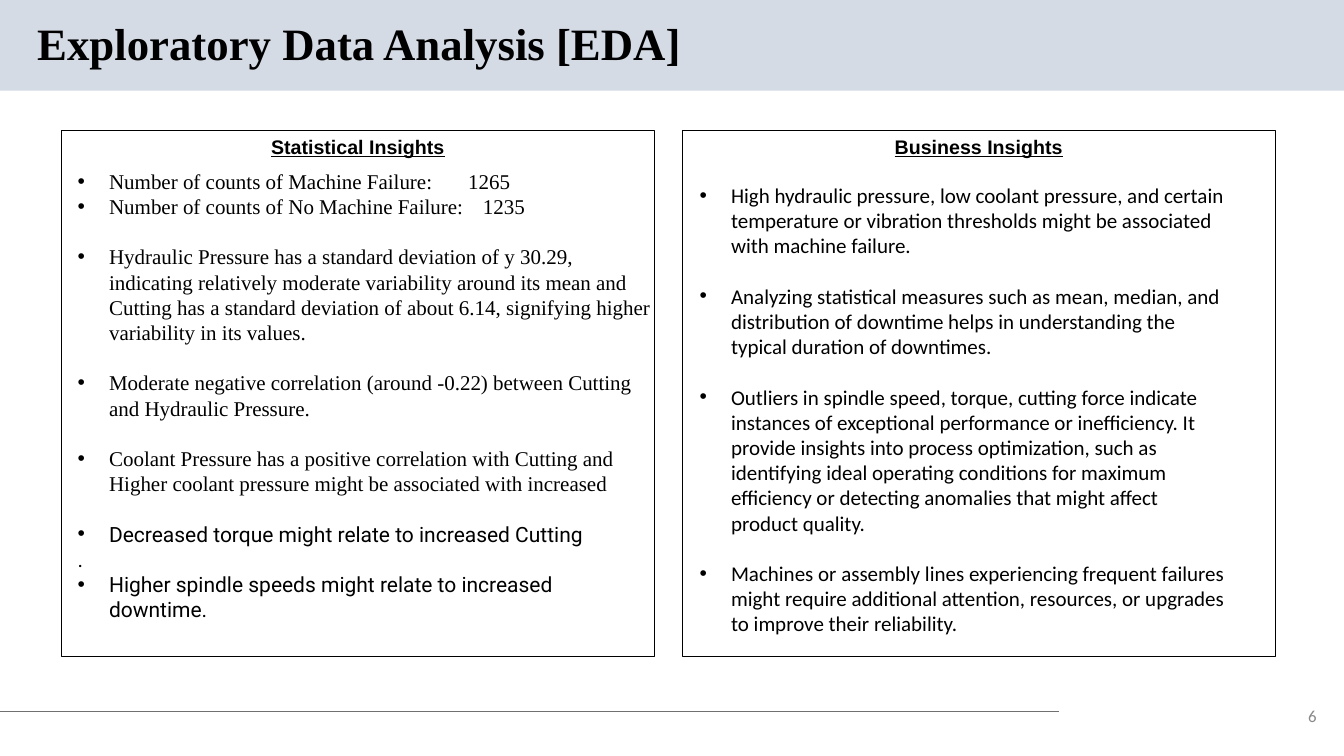
from pptx import Presentation
from pptx.dml.color import RGBColor
from pptx.enum.shapes import MSO_CONNECTOR as Conn, MSO_SHAPE as Shape
from pptx.enum.text import MSO_ANCHOR as Anchor, MSO_AUTO_SIZE as Auto, PP_ALIGN as Align
from pptx.oxml.ns import qn
from pptx.util import Pt
from lxml.etree import SubElement

TIMES, SANS, ROBOTO = "Times New Roman", "Calibri", "Roboto"
BLACK = "000000"
LINE = 18  # list line height, also the gap between items
INDENT = 22.5
TOP, WIDE, HIGH = 92.9, 423.4, 375.8  # the two panels

# Each item: text, font, space before, tab stop (None for no tab)
STATS = [
    ("Number of counts of Machine Failure:\t1265", TIMES, 0, 279),
    ("Number of counts of No Machine Failure:\t1235", TIMES, 0, 289.5),
    ("Hydraulic Pressure has a standard deviation of y 30.29, indicating "
     "relatively moderate variability around its mean and Cutting has a "
     "standard deviation of about 6.14, signifying higher variability in "
     "its values.", TIMES, LINE, None),
    ("Moderate negative correlation (around -0.22) between Cutting and "
     "Hydraulic Pressure.", TIMES, LINE, None),
    ("Coolant Pressure has a positive correlation with Cutting and Higher "
     "coolant pressure might be associated with increased", TIMES, LINE, None),
    ("Decreased torque might relate to increased Cutting", ROBOTO, LINE, None),
    (".", ROBOTO, 0, None),
    ("Higher spindle speeds might relate to increased downtime.", ROBOTO, 0, None),
]
GOALS = [
    "High hydraulic pressure, low coolant pressure, and certain temperature "
    "or vibration thresholds might be associated with machine failure.",
    "Analyzing statistical measures such as mean, median, and distribution "
    "of downtime helps in understanding the typical duration of downtimes.",
    "Outliers in spindle speed, torque, cutting force indicate instances of "
    "exceptional performance or inefficiency. It provide insights into "
    "process optimization, such as identifying ideal operating conditions "
    "for maximum efficiency or detecting anomalies that might affect product "
    "quality.",
    "Machines or assembly lines experiencing frequent failures might require "
    "additional attention, resources, or upgrades to improve their "
    "reliability.",
]


def color(code):
    return RGBColor.from_string(code)


def place(shape, left, top, width, height):
    shape.left, shape.top = Pt(left), Pt(top)
    shape.width, shape.height = Pt(width), Pt(height)


def style(para, font, size, code=BLACK, bold=False, under=False):
    for run in para.runs:
        face = run.font
        face.name, face.size = font, Pt(size)
        face.bold, face.underline = bold, under
        face.color.rgb = color(code)


def frame(shape, anchor, pad=3.6):
    text = shape.text_frame
    text.word_wrap, text.auto_size = True, Auto.NONE
    text.vertical_anchor = anchor
    text.margin_left = text.margin_right = Pt(7.2)
    text.margin_top = text.margin_bottom = Pt(pad)
    return text


def box(slide, at, fill=None, line=None):
    shape = slide.shapes.add_shape(Shape.RECTANGLE, *map(Pt, at))
    shape.shadow.inherit = False
    if fill:
        shape.fill.solid()
        shape.fill.fore_color.rgb = color(fill)
    else:
        shape.fill.background()
    if line:
        shape.line.color.rgb = color(line)
        shape.line.width = Pt(0.75)
    else:
        shape.line.fill.background()
    return shape


def rule(slide, left, right, y, code):
    line = slide.shapes.add_connector(Conn.STRAIGHT, Pt(left), Pt(y), Pt(right), Pt(y))
    line.line.color.rgb = color(code)
    line.line.width = Pt(0.75)
    SubElement(line._element.spPr, qn("a:effectLst"))
    return line


def label(slide, words, at, align, anchor, *look):
    shape = slide.shapes.add_textbox(*map(Pt, at))
    para = frame(shape, anchor).paragraphs[0]
    para.text, para.alignment = words, align
    style(para, *look)


def bullet(para, tab):
    props = para._p.get_or_add_pPr()
    props.set("marL", str(Pt(INDENT)))
    props.set("indent", str(Pt(-INDENT)))
    tint = SubElement(props, qn("a:buClr"))
    SubElement(tint, qn("a:srgbClr"), val=BLACK)
    SubElement(props, qn("a:buFont"), typeface="Arial")
    SubElement(props, qn("a:buChar"), char="•")
    if tab:
        stops = SubElement(props, qn("a:tabLst"))
        SubElement(stops, qn("a:tab"), pos=str(Pt(tab)), algn="l")


def plain(para):
    props = para._p.get_or_add_pPr()
    props.set("marL", "0")
    props.set("indent", "0")
    SubElement(props, qn("a:buNone"))


def fill_list(body, at, items, pad):
    place(body, *at)
    text = frame(body, Anchor.TOP, pad)
    for i, (words, font, gap, tab) in enumerate(items):
        para = text.add_paragraph() if i else text.paragraphs[0]
        para.text, para.alignment = words, Align.LEFT
        para.line_spacing = Pt(LINE)
        para.space_before, para.space_after = Pt(gap), Pt(0)
        if words == ".":
            plain(para)
        else:
            bullet(para, tab)
        style(para, font, 15)


def main():
    deck = Presentation()
    deck.slide_width, deck.slide_height = Pt(960), Pt(540)
    slide = deck.slides.add_slide(deck.slide_layouts[3])
    title, left, right = slide.placeholders

    # Header band goes behind the title
    band = box(slide, (0, 0, 960, 64.8), fill="D5DBE5")
    slide.shapes._spTree.insert(2, band._element)
    place(title, 19.4, 11.5, 728, 42.5)
    head = frame(title, Anchor.MIDDLE).paragraphs[0]
    head.text, head.alignment = "Exploratory Data Analysis [EDA]", Align.LEFT
    head.line_spacing = 0.9
    style(head, TIMES, 32, BLACK, True)

    # Panels with headings
    for x, name in ((43.9, "Statistical Insights"), (487.4, "Business Insights")):
        box(slide, (x, TOP, WIDE, HIGH), line=BLACK)
        label(slide, name, (x, TOP, WIDE, 24.5), Align.CENTER, Anchor.TOP,
              "Arial", 14, BLACK, True, True)

    # Lists
    fill_list(left, (48.2, 116.6, 424.8, 350), STATS, 3.6)
    goals = [(words, SANS, LINE if i else 0, None) for i, words in enumerate(GOALS)]
    fill_list(right, (492.5, 123.1, 391.7, 345), goals, 7.2)

    # Footer
    rule(slide, 0, 756.7, 508.3, "707070")
    label(slide, "6", (916.6, 499.7, 31, 23), Align.RIGHT, Anchor.MIDDLE,
          SANS, 12, "888888")
    deck.save("out.pptx")


if __name__ == "__main__":
    main()
